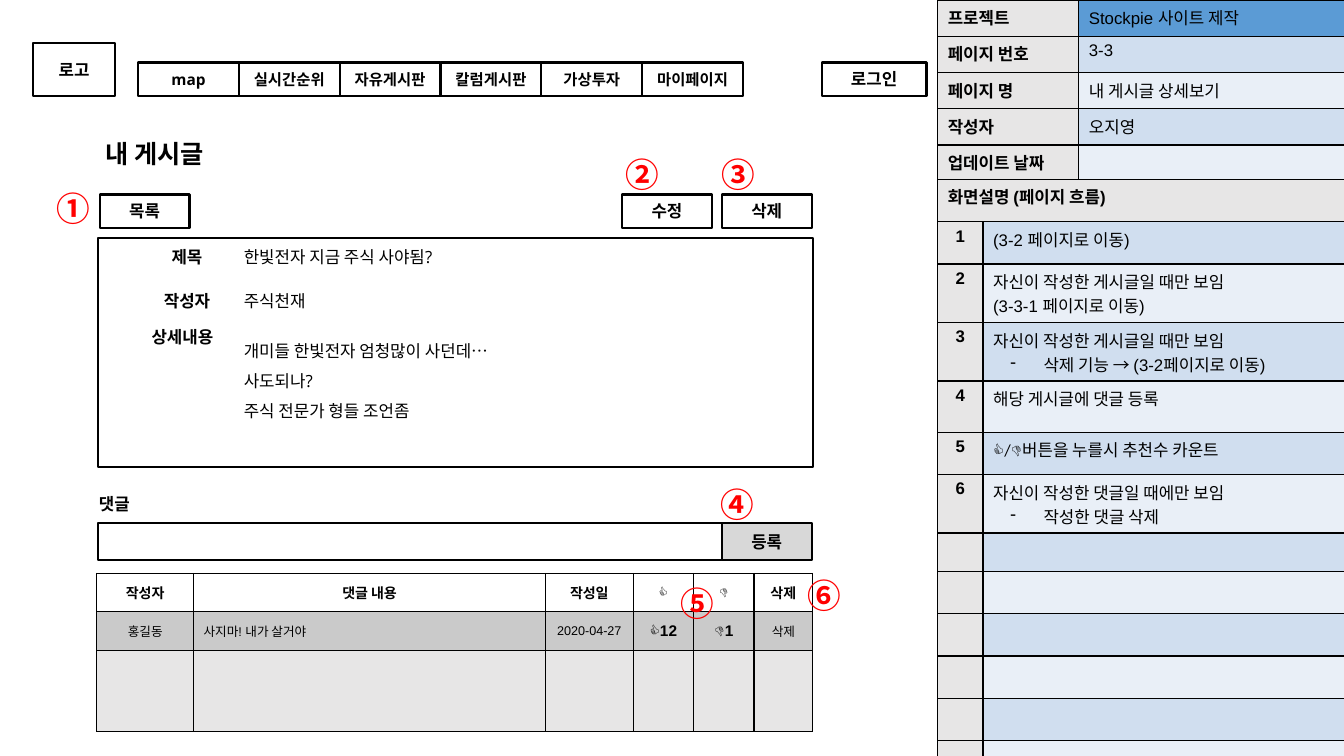
from lxml import etree
from pptx import Presentation, util as u
from pptx.dml.color import RGBColor
from pptx.enum import shapes, text
from pptx.oxml import ns

HUES = {"ink": "000000", "red": "FF0000", "white": "FFFFFF", "blue": "5B9BD5",
        "pale": "D0DEEF", "light": "E9EFF7", "label": "E7E6E6",
        "button": "D8D8D8", "row": "CACACA"}
LEFT, MID = text.PP_ALIGN.LEFT, text.PP_ALIGN.CENTER


def write(frame, words, size=12, bold=False, face="Open Sans", hue="ink", align=MID):
    frame.text = words
    for par in frame.paragraphs:
        par.alignment = align
        par.font.size = u.Pt(size)
        par.font.bold = bold
        par.font.name = face
        par.font.color.rgb = RGBColor.from_string(HUES[hue])


def grid(left, top, cols, rows):
    frame = slide.shapes.add_table(len(rows), len(cols), u.Inches(left), u.Inches(top),
                                   u.Inches(sum(cols)), u.Inches(sum(rows)))
    table = frame.table
    table.first_row = table.horz_banding = False
    for col, wide in zip(table.columns, cols):
        col.width = u.Inches(wide)
    for row, high in zip(table.rows, rows):
        row.height = u.Inches(high)
    for cell in table.iter_cells():
        props = cell._tc.get_or_add_tcPr()
        for side in ("lnL", "lnR", "lnT", "lnB"):
            line = etree.SubElement(props, ns.qn("a:" + side), w="12700")
            fill = etree.SubElement(line, ns.qn("a:solidFill"))
            etree.SubElement(fill, ns.qn("a:srgbClr"), val=HUES["ink"])
        cell.fill.solid()
        cell.fill.fore_color.rgb = RGBColor.from_string(HUES["label"])
        write(cell.text_frame, "", face="Arial")
    return table


deck = Presentation()
deck.slide_width, deck.slide_height = u.Inches(13.33), u.Inches(7.5)
slide = deck.slides.add_slide(deck.slide_layouts[5])

title = slide.shapes.title
title.left, title.top = u.Inches(0.58), u.Inches(1.34)
title.width, title.height = u.Inches(1.91), u.Inches(0.37)
title.text_frame.auto_size = text.MSO_AUTO_SIZE.NONE
title.text_frame.vertical_anchor = text.MSO_ANCHOR.MIDDLE
write(title.text_frame, "내 게시글", 18, True)

boxes = [("", 0.97, 2.36, 7.09, 2.27, 12), ("", 0.97, 5.19, 6.19, 0.37, 12),
         ("등록", 7.16, 5.19, 0.89, 0.37, 12), ("로고", 0.33, 0.43, 0.81, 0.52, 12),
         ("로그인", 8.15, 0.62, 1.04, 0.33, 12)]
menu = ["map", "실시간순위", "자유게시판", "칼럼게시판", "가상투자", "마이페이지"]
boxes += [(name, 1.37 + i, 0.62, 1, 0.33, 11) for i, name in enumerate(menu)]
boxes += [(name, x, 1.93, 0.89, 0.33, 12)
          for name, x in (("목록", 0.99), ("수정", 6.17), ("삭제", 7.16))]
for name, x, y, wide, high, size in boxes:
    box = slide.shapes.add_shape(shapes.MSO_SHAPE.RECTANGLE, u.Inches(x), u.Inches(y),
                                 u.Inches(wide), u.Inches(high))
    box.shadow.inherit = False
    box.fill.background()
    if name == "등록":
        box.fill.solid()
        box.fill.fore_color.rgb = RGBColor.from_string(HUES["button"])
    box.line.color.rgb = RGBColor.from_string(HUES["ink"])
    box.line.width = u.Pt(1.5)
    if name:
        write(box.text_frame, name, size, True)

body = "개미들 한빛전자 엄청많이 사던데…\n사도되나?\n주식 전문가 형들 조언좀"
notes = [("한빛전자 지금 주식 사야됨?", 2.32, 2.36, 4.66, 0.37, False),
         ("주식천재", 2.32, 2.8, 4.66, 0.37, False), (body, 2.32, 3.18, 4.67, 1.24, False),
         ("제목", 1.44, 2.36, 0.83, 0.37, True), ("작성자", 1.44, 2.8, 0.83, 0.37, True),
         ("상세내용", 1.29, 3.16, 1.04, 0.37, True), ("댓글", 0.73, 4.81, 0.81, 0.37, True)]
for words, x, y, wide, high, bold in notes:
    note = slide.shapes.add_textbox(u.Inches(x), u.Inches(y), u.Inches(wide), u.Inches(high))
    frame = note.text_frame
    frame.word_wrap = True
    frame.margin_top = frame.margin_bottom = u.Inches(0.1)
    frame.vertical_anchor = text.MSO_ANCHOR.MIDDLE
    write(frame, words, bold=bold, align=MID if bold else LEFT)
    if words == body:
        frame.vertical_anchor = text.MSO_ANCHOR.TOP
        for par in frame.paragraphs:
            par.line_spacing = 1.5

facts = [("프로젝트", "Stockpie 사이트 제작"), ("페이지 번호", "3-3"),
         ("페이지 명", "내 게시글 상세보기"), ("작성자", "오지영"), ("업데이트 날짜", "")]
info = grid(9.3, 0, [1.4, 2.64], [0.36] * 5)
for i, (label, value) in enumerate(facts):
    write(info.cell(i, 0).text_frame, label, bold=True, face="Arial", align=LEFT)
    cell = info.cell(i, 1)
    write(cell.text_frame, value, face="Arial", align=LEFT)
    hue = "blue" if i == 0 else "pale" if i % 2 else "light"
    cell.fill.fore_color.rgb = RGBColor.from_string(HUES[hue])

steps = ["(3-2 페이지로 이동)", "자신이 작성한 게시글일 때만 보임\n(3-3-1 페이지로 이동)",
         "자신이 작성한 게시글일 때만 보임\n삭제 기능 → (3-2페이지로 이동)",
         "해당 게시글에 댓글 등록", "👍/👎버튼을 누를시 추천수 카운트",
         "자신이 작성한 댓글일 때에만 보임\n작성한 댓글 삭제"]
flow = grid(9.3, 1.78, [0.45, 3.59],
            [0.42, 0.42, 0.58, 0.58, 0.51, 0.42, 0.58, 0.38] + [0.42] * 5)
flow.cell(0, 0).merge(flow.cell(0, 1))
write(flow.cell(0, 0).text_frame, "화면설명 (페이지 흐름)", bold=True, face="Arial", align=LEFT)
for i in range(1, 13):
    hue = "pale" if i % 2 else "light"
    flow.cell(i, 1).fill.fore_color.rgb = RGBColor.from_string(HUES[hue])
for i, step in enumerate(steps, 1):
    write(flow.cell(i, 0).text_frame, str(i), bold=True, face="Arial")
    frame = flow.cell(i, 1).text_frame
    write(frame, step, face="Calibri" if i == 5 else "Arial", align=LEFT)
    if i in (3, 6):
        props = frame.paragraphs[1]._p.get_or_add_pPr()
        props.set("marL", str(u.Inches(0.5)))
        props.set("indent", str(u.Inches(-0.33)))
        props.insert(0, etree.Element(ns.qn("a:buChar"), char="-"))

heads = ["작성자", "댓글 내용", "작성일", "👍", "👎", "삭제"]
reply = ["홍길동", "사지마! 내가 살거야", "2020-04-27", "👍12", "👎1", "삭제"]
board = grid(0.96, 5.69, [0.96, 3.49, 0.87, 0.6, 0.6, 0.58], [0.38, 0.38, 0.81])
for i, (head, item) in enumerate(zip(heads, reply)):
    vote = i in (3, 4)
    write(board.cell(0, i).text_frame, head, 10, True, "Arial")
    write(board.cell(1, i).text_frame, item, 11 if vote else 9, vote, "Arial",
          align=LEFT if i == 1 else MID)
    for j, hue in enumerate(("white", "row")):
        cell = board.cell(j, i)
        cell.vertical_anchor = text.MSO_ANCHOR.MIDDLE
        cell.fill.fore_color.rgb = RGBColor.from_string(HUES[hue])

marks = [("①", 0.46, 1.82), ("②", 6.11, 1.48), ("③", 7.06, 1.48),
         ("④", 7.05, 4.75), ("⑤", 6.65, 5.73), ("⑥", 7.91, 5.65)]
for sign, x, y in marks:
    mark = slide.shapes.add_textbox(u.Inches(x), u.Inches(y), u.Inches(0.6), u.Inches(0.5))
    mark.text_frame.word_wrap = True
    write(mark.text_frame, sign, 24, True, "Noto Sans CJK KR", "red", LEFT)

deck.save("out.pptx")
